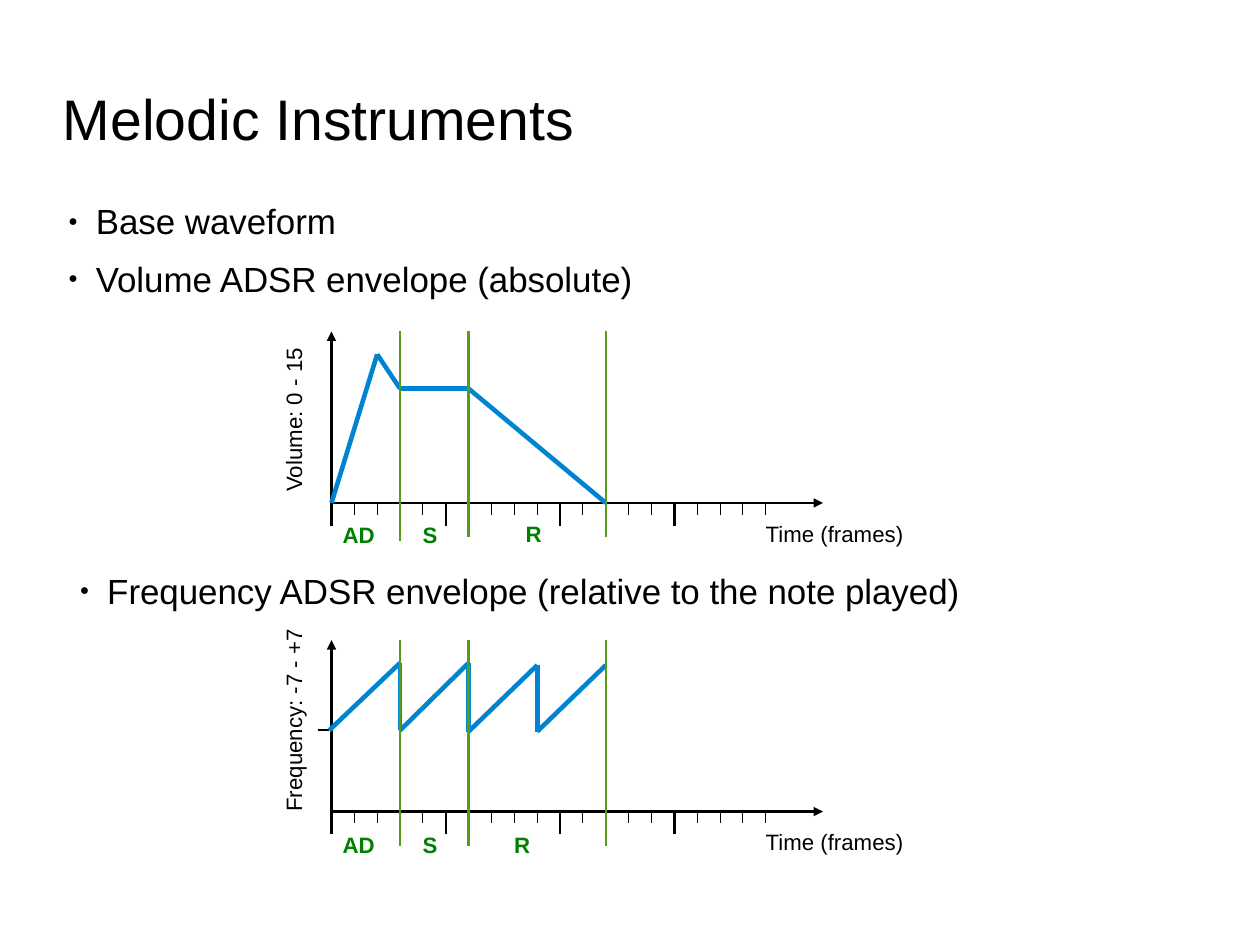
import itertools

import pptx
import pptx.dml.color
import pptx.enum.shapes
import pptx.enum.text
import pptx.oxml
import pptx.oxml.ns
import pptx.util
from pptx.util import Inches

BLACK = pptx.dml.color.RGBColor(0x00, 0x00, 0x00)
BLUE = pptx.dml.color.RGBColor(0x00, 0x84, 0xD1)
LIME = pptx.dml.color.RGBColor(0x57, 0x9D, 0x1C)
GREEN = pptx.dml.color.RGBColor(0x00, 0x80, 0x00)

CM_PER_INCH = 2.54
AXIS_LEFT = 2.9
AXIS_RIGHT = 7.2
AXIS_HEIGHT = 1.5
FRAME_STEP = 0.2
TICK_COUNT = 20
AXIS_WIDTH = 1.45
HAIRLINE = 0.01
CURVE_WIDTH = 2.89
PHASE_ENDS = (3.5, 4.1, 5.3)


def add_xml(parent, tag, **attributes):
    child = pptx.oxml.parse_xml(f"<a:{tag} {pptx.oxml.ns.nsdecls('a')}/>")
    for name, value in attributes.items():
        child.set(name, value)
    parent.append(child)
    return child


def add_line(s, start, end, color, width, arrow=False):
    ends = [Inches(v) for v in (*start, *end)]
    line = s.shapes.add_connector(pptx.enum.shapes.MSO_CONNECTOR.STRAIGHT, *ends)
    line.line.color.rgb = color
    line.line.width = pptx.util.Pt(width)
    if arrow:
        add_xml(line.line._get_or_add_ln(), "tailEnd", type="triangle")
    add_xml(line._element.spPr, "effectLst")


def add_curve(s, points):
    for start, end in itertools.pairwise(points):
        add_line(s, start, end, BLUE, CURVE_WIDTH)


def add_text(s, text, left, top, width, height, size=14, color=BLACK,
             bold=False, bullet=False, rotation=0):
    sp = s.shapes.add_textbox(Inches(left), Inches(top), Inches(width), Inches(height))
    sp.rotation = rotation
    tf = sp.text_frame
    tf.word_wrap = True
    tf.margin_right = 0
    p = tf.paragraphs[0]
    p.text = text
    if bullet:
        pPr = p._p.get_or_add_pPr()
        pPr.set("marL", str(Inches(0.24)))
        pPr.set("indent", str(Inches(-0.24)))
        add_xml(pPr, "buSzPct", val="45000")
        add_xml(pPr, "buFont", typeface="Arial")
        add_xml(pPr, "buChar", char="●")
    p.font.name = "Arial"
    p.font.size = pptx.util.Pt(size)
    p.font.bold = bold
    p.font.color.rgb = color
    return tf


def add_title(s, text):
    tf = add_text(s, text, 0.55, 0.63, 7.87, 0.79, size=36)
    tf.margin_left = tf.margin_top = tf.margin_bottom = 0
    tf.vertical_anchor = pptx.enum.text.MSO_ANCHOR.MIDDLE


def add_axes(s, base):
    origin = (AXIS_LEFT, base)
    add_line(s, origin, (AXIS_LEFT, base - AXIS_HEIGHT), BLACK, AXIS_WIDTH, arrow=True)
    add_line(s, origin, (AXIS_RIGHT, base), BLACK, AXIS_WIDTH, arrow=True)
    for i in range(TICK_COUNT):
        x = AXIS_LEFT + i * FRAME_STEP
        length, width = (0.1, HAIRLINE) if i % 5 else (0.2, AXIS_WIDTH)
        add_line(s, (x, base), (x, base + length), BLACK, width)
    add_text(s, "Time (frames)", 6.6, base + 0.1, 1.9, 0.33)


def add_phases(s, base, line_ends, labels):
    for x, bottom in zip(PHASE_ENDS, line_ends):
        add_line(s, (x, bottom), (x, base - AXIS_HEIGHT), LIME, AXIS_WIDTH)
    for text, left, top in labels:
        add_text(s, text, left, top, 1.7, 0.32, color=GREEN, bold=True)


def add_volume_chart(s):
    base = 4.4
    add_axes(s, base)
    add_curve(s, [(AXIS_LEFT, base), (3.3, 3.1), (3.5, 3.4), (4.1, 3.4), (5.3, base)])
    add_text(s, "Volume: 0 - 15", 1.81, 3.49, 1.5, 0.32, rotation=270)
    add_phases(s, base, (4.73, 4.7, 4.7),
               [("AD", 2.9, 4.51), ("S", 3.6, 4.51), ("R", 4.5, 4.5)])


def add_frequency_chart(s):
    base = 7.1
    add_axes(s, base)
    add_line(s, (2.78, 6.39), (2.88, 6.39), BLACK, AXIS_WIDTH)
    add_curve(s, [(2.88, 6.39), (3.5, 5.8), (3.5, 6.39), (4.1, 5.8),
                  (4.1, 6.4), (4.7, 5.82), (4.7, 6.4), (5.3, 5.82)])
    add_text(s, "Frequency: -7 - +7", 1.77, 6.03, 1.8, 0.54, rotation=270)
    add_phases(s, base, (7.4, 7.4, 7.4),
               [("AD", 2.9, 7.22), ("S", 3.6, 7.22), ("R", 4.4, 7.22)])


def main():
    prs = pptx.Presentation()
    prs.slide_width = Inches(28 / CM_PER_INCH)
    prs.slide_height = Inches(21 / CM_PER_INCH)
    s = prs.slides.add_slide(prs.slide_layouts[6])
    add_title(s, "Melodic Instruments")
    for text, left, top, width, height in (
        ("Base waveform", 0.5, 1.7, 3.5, 0.44),
        ("Volume ADSR envelope (absolute)", 0.5, 2.2, 6.4, 0.91),
        ("Frequency ADSR envelope (relative to the note played)", 0.6, 4.93, 10, 0.91),
    ):
        add_text(s, text, left, top, width, height, size=22, bullet=True)
    add_volume_chart(s)
    add_frequency_chart(s)
    prs.save("out.pptx")


if __name__ == "__main__":
    main()
